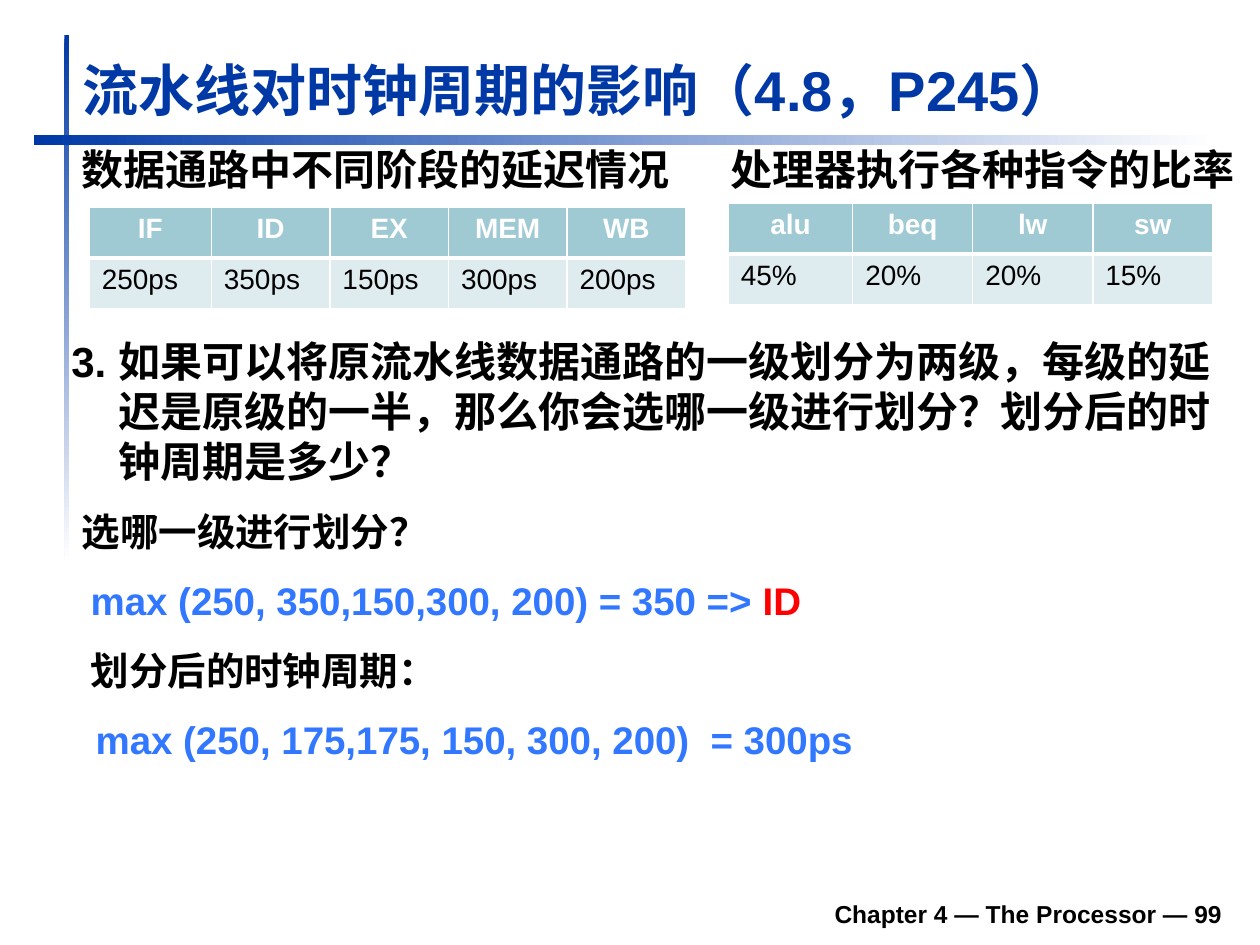
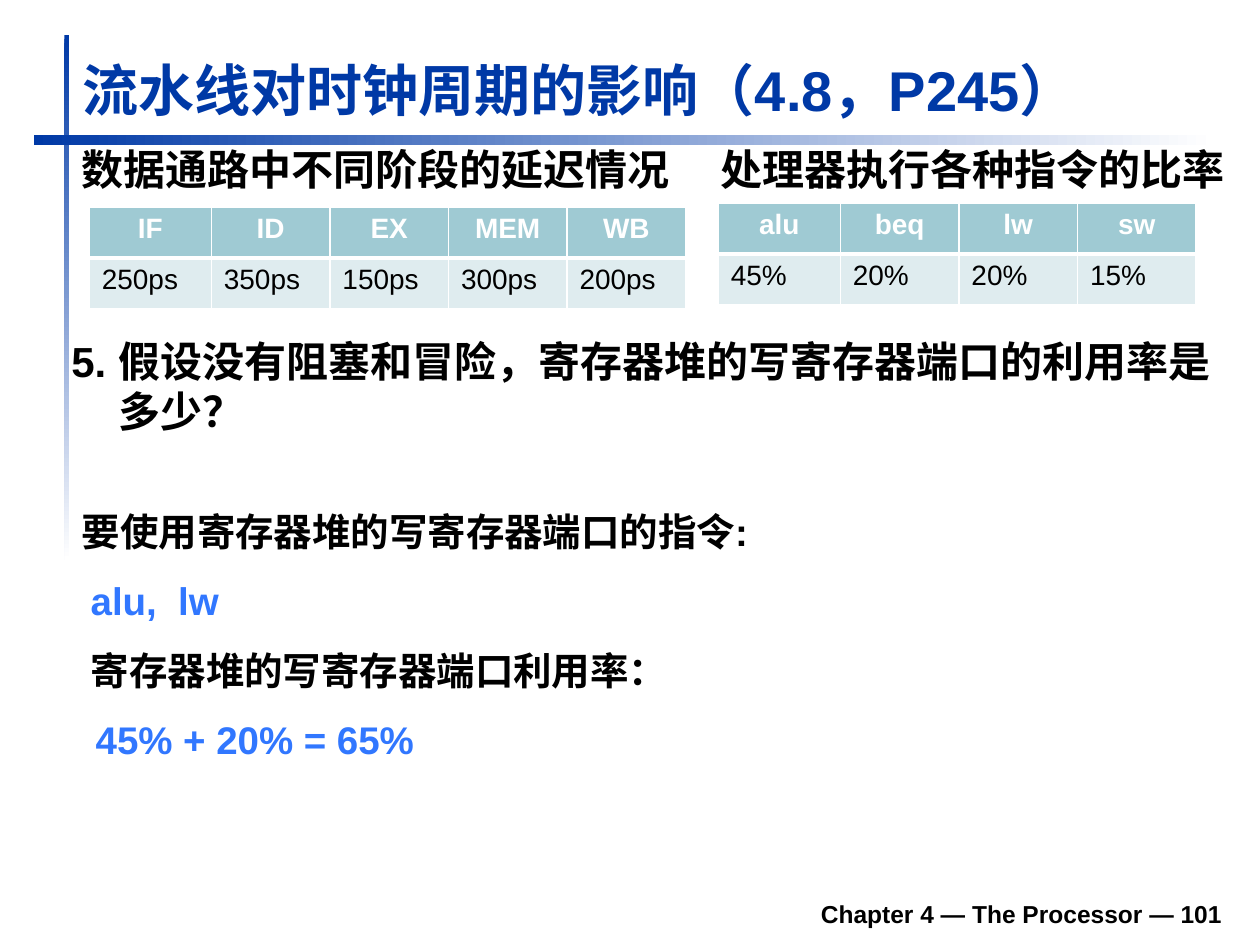
from lxml import etree
from pptx import Presentation
from pptx import util as u
from pptx.dml import color
from pptx.enum import lang, shapes, text
from pptx.oxml import ns

Cm, Pt = u.Cm, u.Pt
FONT = "Arial"
COLORS = {"navy": "0039A6", "blue": "3177FF", "red": "FF0000", "black": "000000",
          "white": "FFFFFF", "head": "9FCAD3", "cell": "DFECEF"}
TITLE = "流水线对时钟周期的影响（4.8，P245）"
STAGES = [["IF", "ID", "EX", "MEM", "WB"],
          ["250ps", "350ps", "150ps", "300ps", "200ps"]]
MIX = [["alu", "beq", "lw", "sw"], ["45%", "20%", "20%", "15%"]]
HANG = 0.95  # hanging indent, cm


def rgb(name):
    return color.RGBColor.from_string(COLORS[name])


def put_text(tf, runs, size=24, col="black", bold=True, align=None, hang=0):
    """Write one paragraph; runs is a string or a list of (text, colour)."""
    p = tf.paragraphs[0]
    p.alignment = align
    if hang:
        pPr = p._p.get_or_add_pPr()
        pPr.set("marL", str(Cm(hang)))
        pPr.set("indent", str(-Cm(hang)))
    for words, c in [(runs, col)] if isinstance(runs, str) else runs:
        r = p.add_run()
        r.text = words
        f = r.font
        f.name, f.size, f.bold = FONT, Pt(size), bold
        f.color.rgb = rgb(c)
        f.language_id = lang.MSO_LANGUAGE_ID.SIMPLIFIED_CHINESE


def text_box(s, box, runs, anchor=text.MSO_ANCHOR.TOP, **fmt):
    tf = s.shapes.add_textbox(*map(Cm, box)).text_frame
    tf.word_wrap = True
    tf.vertical_anchor = anchor
    put_text(tf, runs, **fmt)


def fading_bar(s, box, angle):
    sp = s.shapes.add_shape(shapes.MSO_SHAPE.RECTANGLE, *map(Cm, box))
    sp.shadow.inherit = False
    sp.line.fill.background()
    sp.fill.gradient()
    sp.fill.gradient_angle = angle
    for stop, name, pos in zip(sp.fill.gradient_stops, ("navy", "white"), (0, 1)):
        stop.color.rgb = rgb(name)
        stop.position = pos


def frame(s, page):
    """Bars, title and footer shared by the slides."""
    fading_bar(s, (1.3, 0.71, 0.1, 10.59), 270)
    fading_bar(s, (0.69, 2.72, 23.8, 0.2), 0)
    sp = s.shapes.title
    sp.left, sp.top, sp.width, sp.height = map(Cm, (1.4, 0.97, 22.94, 1.63))
    tf = sp.text_frame
    tf.word_wrap = True
    tf.vertical_anchor = text.MSO_ANCHOR.BOTTOM
    tf.auto_size = text.MSO_AUTO_SIZE.SHAPE_TO_FIT_TEXT
    put_text(tf, TITLE, size=32, col="navy", align=text.PP_ALIGN.LEFT)
    text_box(s, (4.7, 17.86, 20.19, 0.99), f"Chapter 4 — The Processor — {page}",
             anchor=text.MSO_ANCHOR.BOTTOM, size=14, align=text.PP_ALIGN.RIGHT)


def borders(cell, bottom):
    tcPr = cell._tc.get_or_add_tcPr()
    for side, width in zip("LRTB", (1, 1, 1, bottom)):
        ln = etree.SubElement(tcPr, ns.qn(f"a:ln{side}"), w=str(Pt(width)))
        fill = etree.SubElement(ln, ns.qn("a:solidFill"))
        etree.SubElement(fill, ns.qn("a:srgbClr"), val=COLORS["white"])


def data_panel(s, box, caption, rows, offset, first, rest):
    """Caption with its table, set off from the caption's corner."""
    text_box(s, box, caption, hang=HANG)
    n = len(rows[0])
    widths = [first] + [rest] * (n - 1)
    t = s.shapes.add_table(2, n, Cm(box[0] + offset[0]), Cm(box[1] + offset[1]),
                           Cm(sum(widths)), Cm(2.06)).table
    t.horz_banding = False
    for column, width in zip(t.columns, widths):
        column.width = Cm(width)
    for i, row in enumerate(rows):
        head = i == 0
        for j, value in enumerate(row):
            cell = t.cell(i, j)
            borders(cell, 3 if head else 1)
            cell.fill.solid()
            cell.fill.fore_color.rgb = rgb("head" if head else "cell")
            put_text(cell.text_frame, value, size=16, bold=head,
                     col="white" if head else "black",
                     align=text.PP_ALIGN.CENTER if head else text.PP_ALIGN.LEFT)


def answers(s, left, top, lines):
    """Equally spaced prompts in black, each followed by its result in blue."""
    for i, (line, dx) in enumerate(zip(lines, (0, 0.18, 0.18, 0.28))):
        text_box(s, (left + dx, top + 1.4 * i, 23.52, 1.4), line, size=22,
                 col="blue" if i % 2 else "black", hang=HANG)


def exercise(prs, page, mix_left, mix_cols, question, height, lines):
    s = prs.slides.add_slide(prs.slide_layouts[5])
    frame(s, page)
    data_panel(s, (1.4, 2.77, 12.98, 1.6), "数据通路中不同阶段的延迟情况",
               STAGES, (0.4, 1.4), 2.46, 2.39)
    data_panel(s, (mix_left, 2.77, 25.4 - mix_left, 1.6), "处理器执行各种指令的比率",
               MIX, (0.2, 1.32), *mix_cols)
    text_box(s, (1.19, 6.63, 23.52, height), question, hang=HANG)
    answers(s, 1.4, 10.11, lines)


def main():
    prs = Presentation()
    prs.slide_width, prs.slide_height = Cm(25.4), Cm(19.05)
    exercise(prs, 99, 14.48, (2.51, 2.42),
             "3. 如果可以将原流水线数据通路的一级划分为两级，每级的延迟是原级的一半，"
             "那么你会选哪一级进行划分？划分后的时钟周期是多少？", 3.3,
             ["选哪一级进行划分？",
              [("max (250, 350,150,300, 200) = 350 => ", "blue"), ("ID", "red")],
              "划分后的时钟周期：",
              "max (250, 175,175, 150, 300, 200)  = 300ps"])
    exercise(prs, 101, 14.28, (2.46, 2.39),
             "5. 假设没有阻塞和冒险，寄存器堆的写寄存器端口的利用率是多少？", 2.51,
             ["要使用寄存器堆的写寄存器端口的指令:", "alu,  lw",
              "寄存器堆的写寄存器端口利用率：", "45% + 20% = 65%"])
    prs.save("out.pptx")


if __name__ == "__main__":
    main()
